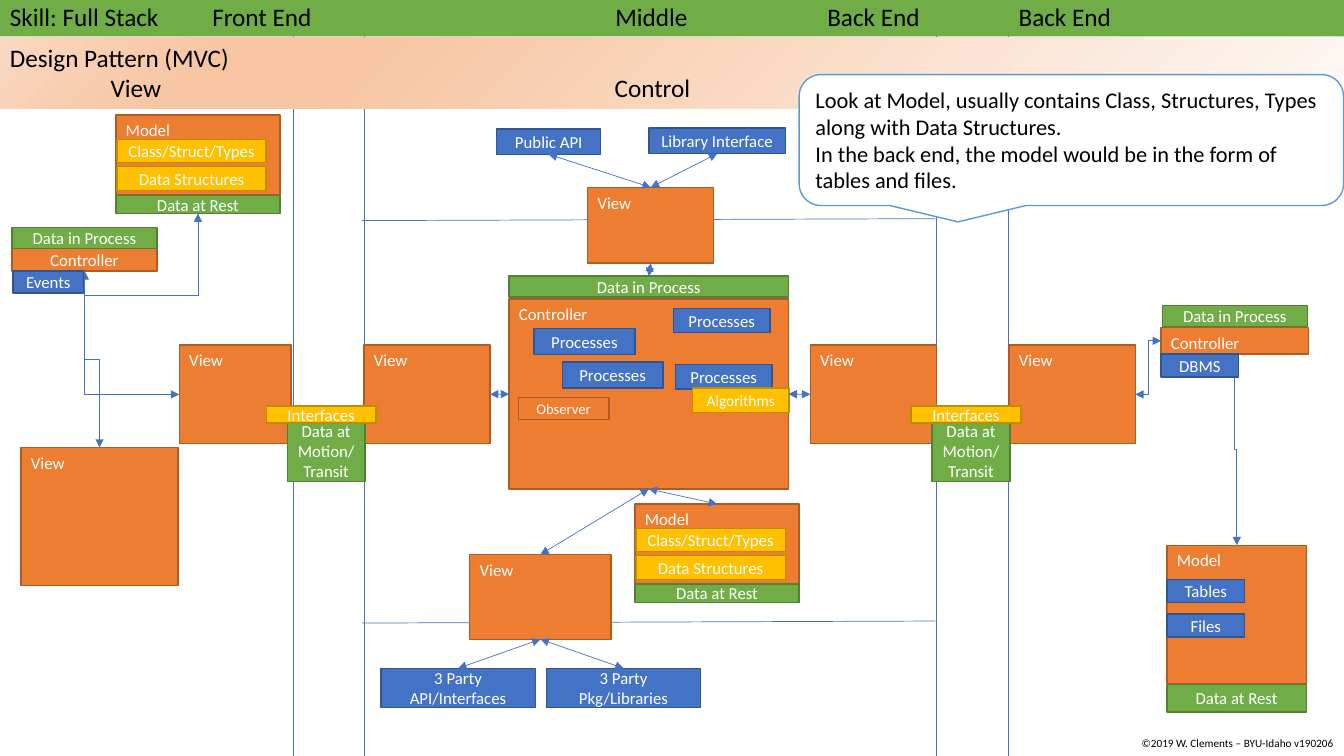
from lxml import etree
from pptx import Presentation
from pptx.dml.color import RGBColor
from pptx.enum.shapes import MSO_CONNECTOR, MSO_SHAPE
from pptx.enum.text import MSO_ANCHOR, PP_ALIGN
from pptx.oxml import parse_xml
from pptx.oxml.ns import nsdecls, qn
from pptx.util import Cm, Pt

RECTANGLE = MSO_SHAPE.RECTANGLE
CALLOUT = MSO_SHAPE.ROUNDED_RECTANGULAR_CALLOUT
STRAIGHT, ELBOW = MSO_CONNECTOR.STRAIGHT, MSO_CONNECTOR.ELBOW
TOP, MIDDLE = MSO_ANCHOR.TOP, MSO_ANCHOR.MIDDLE
LEFT, CENTER = PP_ALIGN.LEFT, PP_ALIGN.CENTER
TOP_SIDE, LEFT_SIDE, BOTTOM_SIDE, RIGHT_SIDE = range(4)

COLORS = {
    "orange": "ED7D31", "orange edge": "AF5C24",
    "green": "70AD47", "green edge": "538035",
    "blue": "4472C4", "blue edge": "325491",
    "yellow": "FFC000", "yellow edge": "BD8E00",
    "white": "FFFFFF", "black": "000000", "callout edge": "5B9BD5",
}
BANNER_STOPS = [(0, "FEF8F5"), (74, "F7C5A2"), (83, "F7C5A2"), (100, "FAD8C1")]
SIDE_VIEW = (3.18, 2.49)


def rgb(name):
    return RGBColor.from_string(COLORS[name])


def write(shape, lines, size, color, align=LEFT, anchor=TOP, tabs=()):
    frame = shape.text_frame
    frame.word_wrap = True
    frame.vertical_anchor = anchor
    for index, line in enumerate(lines):
        paragraph = frame.paragraphs[0] if index == 0 else frame.add_paragraph()
        paragraph.text = line
        paragraph.alignment = align
        if "\t" in line:
            stops = etree.SubElement(paragraph._p.get_or_add_pPr(), qn("a:tabLst"))
            for position in tabs:
                etree.SubElement(stops, qn("a:tab"), pos=str(Cm(position)), algn="l")
        paragraph.font.name = "Calibri"
        paragraph.font.size = Pt(size)
        paragraph.font.color.rgb = rgb(color)


def add_panel(slide, box, fill, edge=None, preset=RECTANGLE):
    panel = slide.shapes.add_shape(preset, *map(Cm, box))
    panel.shadow.inherit = False
    panel.fill.solid()
    panel.fill.fore_color.rgb = rgb(fill)
    if edge:
        panel.line.color.rgb = rgb(edge)
        panel.line.width = Pt(1)
    else:
        panel.line.fill.background()
    return panel


def add_block(slide, origin, place, text, color, size=12, centered=True):
    x, y, width, height = place
    box = (origin[0] + x, origin[1] + y, width, height)
    block = add_panel(slide, box, color, color + " edge")
    write(block, [text], size, "white",
          CENTER if centered else LEFT, MIDDLE if centered else TOP)
    return block


def add_container(slide, origin, place, text):
    return add_block(slide, origin, place, text, "orange", centered=False)


def add_line(slide, start, end, kind=STRAIGHT, arrows=False):
    line = slide.shapes.add_connector(kind, *map(Cm, start + end))
    line.line.color.rgb = rgb("blue")
    line.line.width = Pt(0.5)
    properties = line._element.spPr
    if arrows:
        outline = line.line._get_or_add_ln()
        for tag in ("a:headEnd", "a:tailEnd"):
            etree.SubElement(outline, qn(tag), type="triangle")
    etree.SubElement(properties, qn("a:effectLst"))
    return line


def link(slide, first, first_side, second, second_side):
    line = add_line(slide, (0, 0), (1, 1), arrows=True)
    line.begin_connect(first, first_side)
    line.end_connect(second, second_side)


def add_elbow(slide, origin, start, end, vertical=True, bend=0.5, single=False):
    x1, y1 = origin[0] + start[0], origin[1] + start[1]
    x2, y2 = origin[0] + end[0], origin[1] + end[1]
    if vertical:
        cx, cy = (x1 + x2) / 2, (y1 + y2) / 2
        half_x, half_y = (x2 - x1) / 2, (y2 - y1) / 2
        x1, y1, x2, y2 = cx + half_y, cy - half_x, cx - half_y, cy + half_x
    elbow = add_line(slide, (x1, y1), (x2, y2), ELBOW, arrows=True)
    properties = elbow._element.spPr
    if vertical:
        properties.find(qn("a:xfrm")).set("rot", "16200000")
    geometry = properties.find(qn("a:prstGeom"))
    if single:
        geometry.set("prst", "bentConnector2")
    else:
        guides = geometry.find(qn("a:avLst"))
        etree.SubElement(guides, qn("a:gd"), name="adj1", fmla=f"val {round(bend * 100000)}")


def add_dividers(slide, box):
    left, top, width, height = box
    for x in (7.39, 9.17, 23.6, 25.4):
        add_line(slide, (left + x, top), (left + x, top + height))


def add_header(slide, box):
    left, top, width, height = box
    pattern = add_panel(slide, (left, top + 1.04, width, 1.8), "white")
    properties = pattern._element.spPr
    stops = "".join(f'<a:gs pos="{at * 1000}"><a:srgbClr val="{color}"/></a:gs>'
                    for at, color in BANNER_STOPS)
    gradient = parse_xml(
        f'<a:gradFill {nsdecls("a")} rotWithShape="1"><a:gsLst>{stops}</a:gsLst>'
        '<a:path path="circle"><a:fillToRect l="100000" t="100000"/></a:path>'
        '<a:tileRect r="-100000" b="-100000"/></a:gradFill>')
    properties.replace(properties.find(qn("a:solidFill")), gradient)
    write(pattern, ["Design Pattern (MVC)", "\tView\tControl"], 18, "black",
          tabs=(2.54, 15.24))
    skills = add_panel(slide, (left, top, width, 1.02), "green")
    write(skills, ["Skill: Full Stack\tFront End\tMiddle\tBack End\tBack End"], 18,
          "black", tabs=(5.1, 15.26, 20.6, 25.42))


def add_model(slide, origin, place):
    left, top = origin[0] + place[0], origin[1] + place[1]
    model = add_container(slide, (left, top), (0, 0, 4.14, 2.01), "Model")
    add_block(slide, (left, top), (0, 2.02, 4.14, 0.46), "Data at Rest", "green")
    add_block(slide, (left, top), (0.03, 0.62, 3.76, 0.58), "Class/Struct/Types", "yellow")
    add_block(slide, (left, top), (0.03, 1.3, 3.76, 0.6), "Data Structures", "yellow")
    return model


def add_transit(slide, origin):
    add_block(slide, origin, (0.53, 0.35, 1.96, 1.55), "Data at Motion/Transit", "green")
    add_block(slide, origin, (0, 0, 2.77, 0.43), "Interfaces", "yellow")


def add_front_end(slide, origin):
    add_container(slide, origin, (4.52, 5.99, 2.82, 2.49), "View")
    add_container(slide, origin, (0.53, 8.58, 3.96, 3.48), "View")
    add_block(slide, origin, (0.3, 3.57, 3.66, 0.56), "Controller", "orange")
    add_block(slide, origin, (0.3, 3.04, 3.66, 0.53), "Data in Process", "green")
    add_model(slide, origin, (2.92, 0.2))
    controller_exit = (2.13, 4.13)
    add_elbow(slide, origin, controller_exit, (4.99, 2.68), bend=-0.42)
    add_elbow(slide, origin, controller_exit, (2.51, 8.58))
    add_elbow(slide, origin, controller_exit, (4.52, 7.24), single=True)
    add_block(slide, origin, (0.33, 4.13, 1.78, 0.56), "Events", "blue")


def add_middle(slide, origin):
    left, top = origin
    for y in (2.81, 12.95):
        add_line(slide, (left + 14.57, top + y), (left + 0.12, top + y + 0.05))
    front_view = add_container(slide, origin, (0.17, 5.99, *SIDE_VIEW), "View")
    back_view = add_container(slide, origin, (11.42, 5.99, *SIDE_VIEW), "View")
    api_view = add_container(slide, origin, (5.81, 2.02, 3.18, 1.91), "View")
    party_view = add_container(slide, origin, (2.84, 11.27, 3.56, 2.14), "View")
    controller = add_container(slide, origin, (3.83, 4.84, 7.04, 4.78), "Controller")
    process_data = add_block(slide, origin, (3.83, 4.26, 7.04, 0.53), "Data in Process", "green")
    model = add_model(slide, origin, (7, 10))
    for place in ((4.46, 5.58, 2.54, 0.66), (7.97, 5.07, 2.44, 0.61),
                  (8.02, 6.49, 2.44, 0.61), (5.17, 6.42, 2.54, 0.66)):
        add_block(slide, origin, place, "Processes", "blue")
    add_block(slide, origin, (8.45, 7.08, 2.44, 0.61), "Algorithms", "yellow", 11)
    add_block(slide, origin, (4.06, 7.31, 2.29, 0.56), "Observer", "orange", 10.5)
    link(slide, controller, LEFT_SIDE, front_view, RIGHT_SIDE)
    link(slide, controller, RIGHT_SIDE, back_view, LEFT_SIDE)
    link(slide, controller, BOTTOM_SIDE, model, TOP_SIDE)
    link(slide, controller, BOTTOM_SIDE, party_view, TOP_SIDE)
    link(slide, process_data, TOP_SIDE, api_view, BOTTOM_SIDE)
    for text, place in (("Public API", (3.52, 0.55, 2.62, 0.64)),
                        ("Library Interface", (7.36, 0.53, 3.43, 0.64))):
        interface = add_block(slide, origin, place, text, "blue")
        link(slide, api_view, TOP_SIDE, interface, BOTTOM_SIDE)
    for text, x in (("3 Party API/Interfaces", 0.6), ("3 Party Pkg/Libraries", 4.77)):
        party = add_block(slide, origin, (x, 14.14, 3.89, 0.99), text, "blue")
        link(slide, party_view, BOTTOM_SIDE, party, TOP_SIDE)


def add_back_end(slide, origin):
    add_container(slide, origin, (0.43, 5.99, *SIDE_VIEW), "View")
    add_container(slide, origin, (4.26, 5.56, 3.71, 0.66), "Controller")
    add_block(slide, origin, (4.29, 5, 3.66, 0.53), "Data in Process", "green")
    add_container(slide, origin, (4.41, 11.04, 3.51, 3.48), "Model")
    for text, y in (("Tables", 11.9), ("Files", 12.77)):
        add_block(slide, origin, (4.41, y, 1.96, 0.58), text, "blue")
    add_block(slide, origin, (4.41, 14.55, 3.51, 0.69), "Data at Rest", "green")
    add_elbow(slide, origin, (3.61, 7.24), (4.26, 5.89), vertical=False)
    add_elbow(slide, origin, (6.12, 6.22), (6.17, 11.04))
    add_block(slide, origin, (4.26, 6.22, 1.96, 0.58), "DBMS", "blue")


def add_notes_on_model(slide, box):
    callout = add_panel(slide, box, "white", "callout edge", CALLOUT)
    write(callout, [
        "Look at Model, usually contains Class, Structures, Types along with Data Structures.",
        "In the back end, the model would be in the form of tables and files."], 16, "black")


def add_copyright(slide, box):
    notice = slide.shapes.add_textbox(*map(Cm, box))
    write(notice, ["©2019 W. Clements – BYU-Idaho v190206"], 8, "black")


def main():
    deck = Presentation()
    deck.slide_width, deck.slide_height = Cm(33.87), Cm(19.05)
    slide = deck.slides.add_slide(deck.slide_layouts[6])
    add_dividers(slide, (0, 0, 33.87, 19.05))
    add_header(slide, (0, -0.1, 33.87, 2.84))
    add_front_end(slide, (0, 2.7))
    add_middle(slide, (9, 2.7))
    add_back_end(slide, (25, 2.7))
    for x in (6.71, 22.96):
        add_transit(slide, (x, 10.23))
    add_notes_on_model(slide, (20.14, 1.88, 13.72, 3.3))
    add_copyright(slide, (28.52, 18.44, 5.41, 0.61))
    deck.save("out.pptx")


if __name__ == "__main__":
    main()
